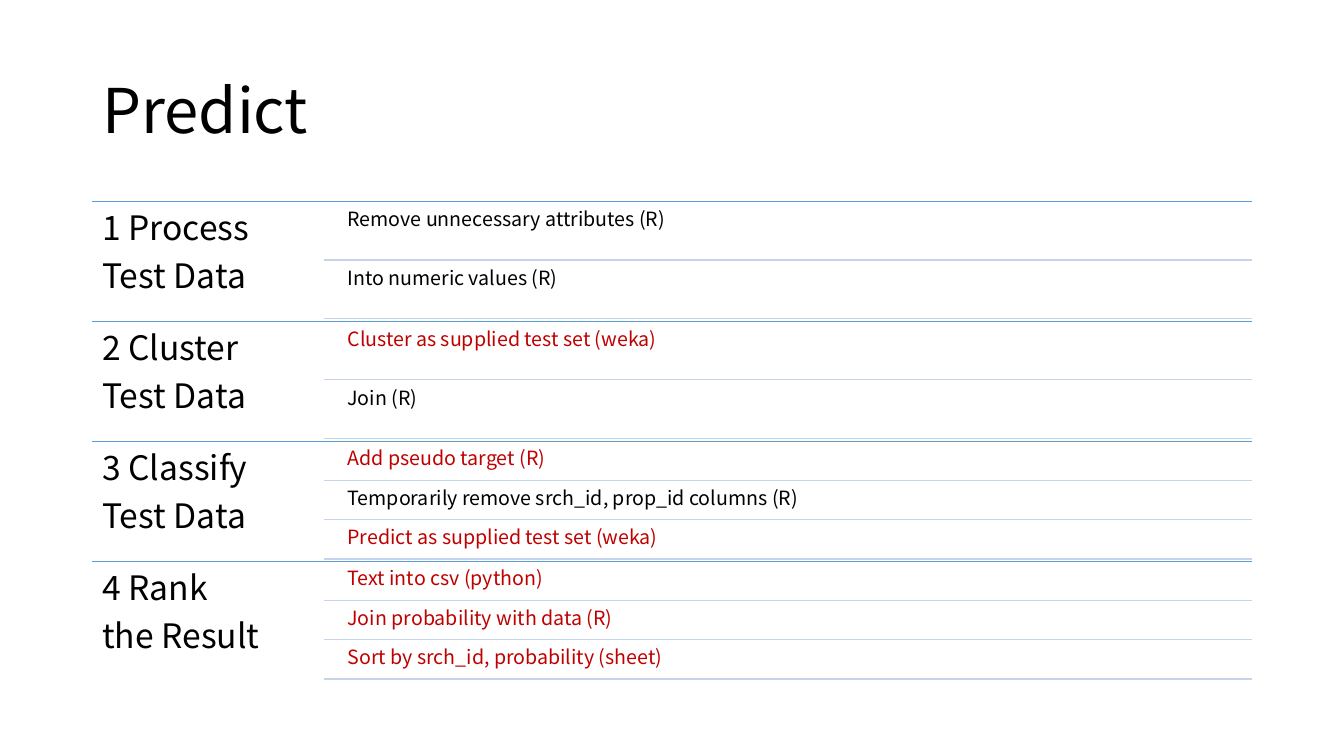
from dataclasses import dataclass

from lxml.etree import SubElement
from pptx import Presentation
from pptx.dml.color import RGBColor
from pptx.enum.shapes import MSO_CONNECTOR
from pptx.enum.text import MSO_ANCHOR, PP_ALIGN
from pptx.oxml.ns import qn
from pptx.util import Pt

FONT = "Noto Sans CJK KR"
BLACK, RED = "000000", "C00000"
SECTION_LINE, STEP_LINE = "5B9BD5", "C4D5EB"

# Layout in points
LEFT, RIGHT = 66, 894
TOP, SECTION_HEIGHT = 143.8, 85.65
HEADING_WIDTH = 165.6
STEP_LINE_LEFT = LEFT + HEADING_WIDTH
STEP_LEFT = 244
GAP_RATIO = 0.05  # gap between steps, as a share of the step height


@dataclass
class Step:
    text: str
    color: str = BLACK


@dataclass
class Section:
    heading: list[str]
    steps: list[Step]


SECTIONS = [
    Section(["1 Process", "Test Data"], [
        Step("Remove unnecessary attributes (R)"),
        Step("Into numeric values (R)"),
    ]),
    Section(["2 Cluster", "Test Data"], [
        Step("Cluster as supplied test set (weka)", RED),
        Step("Join (R)"),
    ]),
    Section(["3 Classify", "Test Data"], [
        Step("Add pseudo target (R)", RED),
        Step("Temporarily remove srch_id, prop_id columns (R)"),
        Step("Predict as supplied test set (weka)", RED),
    ]),
    Section(["4 Rank", "the Result"], [
        Step("Text into csv (python)", RED),
        Step("Join probability with data (R)", RED),
        Step("Sort by srch_id, probability (sheet)", RED),
    ]),
]


def rgb(color: str) -> RGBColor:
    return RGBColor.from_string(color)


def format_paragraph(p, size: float, color: str) -> None:
    p.alignment = PP_ALIGN.LEFT
    p.line_spacing = 0.9
    p.font.name = FONT
    p.font.size = Pt(size)
    p.font.color.rgb = rgb(color)


def set_percent_after(p, percent: int) -> None:
    """Set the space after a paragraph relative to its text size."""
    p.space_after = Pt(0)
    after = p._p.pPr.find(qn("a:spcAft"))
    after.clear()
    SubElement(after, qn("a:spcPct")).set("val", str(percent * 1000))


def add_text(slide, lines: list[str], x: float, y: float, width: float,
             height: float, inset: float, size: float, color: str) -> None:
    sp = slide.shapes.add_textbox(Pt(x), Pt(y), Pt(width), Pt(height))
    tf = sp.text_frame
    tf.word_wrap = True
    tf.vertical_anchor = MSO_ANCHOR.TOP
    tf.margin_left = tf.margin_right = Pt(inset)
    tf.margin_top = tf.margin_bottom = Pt(inset)
    tf.text = "\n".join(lines)
    for p in tf.paragraphs:
        format_paragraph(p, size, color)
        set_percent_after(p, 35)


def add_rule(slide, x: float, y: float, color: str, width: float) -> None:
    line = slide.shapes.add_connector(
        MSO_CONNECTOR.STRAIGHT, Pt(x), Pt(y), Pt(RIGHT), Pt(y))
    line.line.color.rgb = rgb(color)
    line.line.width = Pt(width)
    SubElement(line._element.spPr, qn("a:effectLst"))


def add_section(slide, section: Section, top: float) -> None:
    add_rule(slide, LEFT, top, SECTION_LINE, 0.5)
    add_text(slide, section.heading, LEFT, top, HEADING_WIDTH,
             SECTION_HEIGHT, 7.2, 24, BLACK)

    # Steps share the section height, with a gap before, between and after
    count = len(section.steps)
    height = SECTION_HEIGHT / (count + (count + 1) * GAP_RATIO)
    gap = height * GAP_RATIO
    for i, step in enumerate(section.steps):
        y = top + gap + i * (height + gap)
        add_text(slide, [step.text], STEP_LEFT, y, RIGHT - STEP_LEFT,
                 height, 4.2, 14, step.color)
        add_rule(slide, STEP_LINE_LEFT, y + height, STEP_LINE, 1)


def main() -> None:
    prs = Presentation()
    prs.slide_width, prs.slide_height = Pt(960), Pt(540)
    s = prs.slides.add_slide(prs.slide_layouts[5])

    # Title
    title = s.shapes.title
    title.left, title.top = Pt(LEFT), Pt(28.8)
    title.width, title.height = Pt(RIGHT - LEFT), Pt(104.4)
    title.text_frame.text = "Predict"
    title.text_frame.vertical_anchor = MSO_ANCHOR.MIDDLE
    format_paragraph(title.text_frame.paragraphs[0], 44, BLACK)

    # Numbered sections with their steps
    for i, section in enumerate(SECTIONS):
        add_section(s, section, TOP + i * SECTION_HEIGHT)

    prs.save("out.pptx")


if __name__ == "__main__":
    main()
